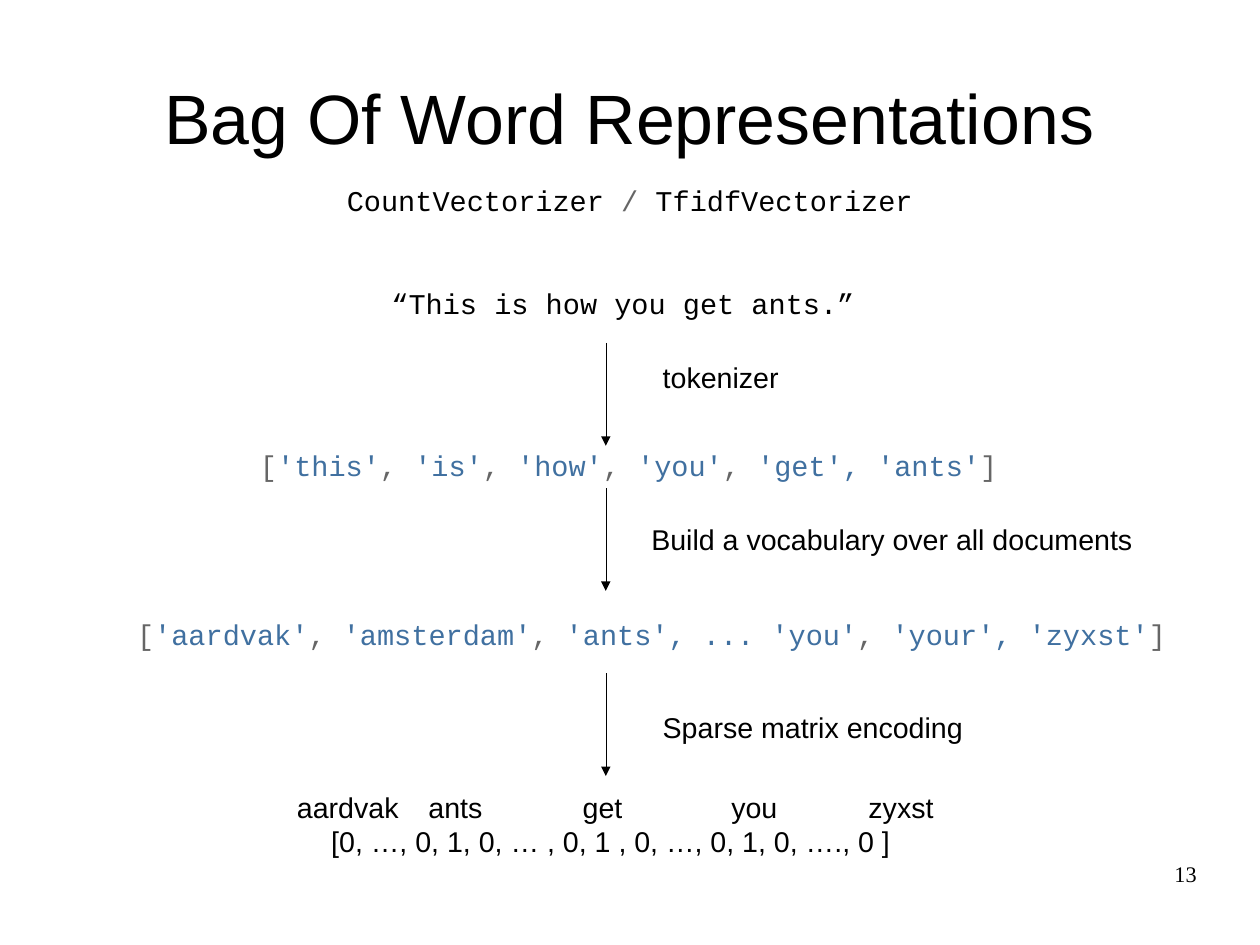
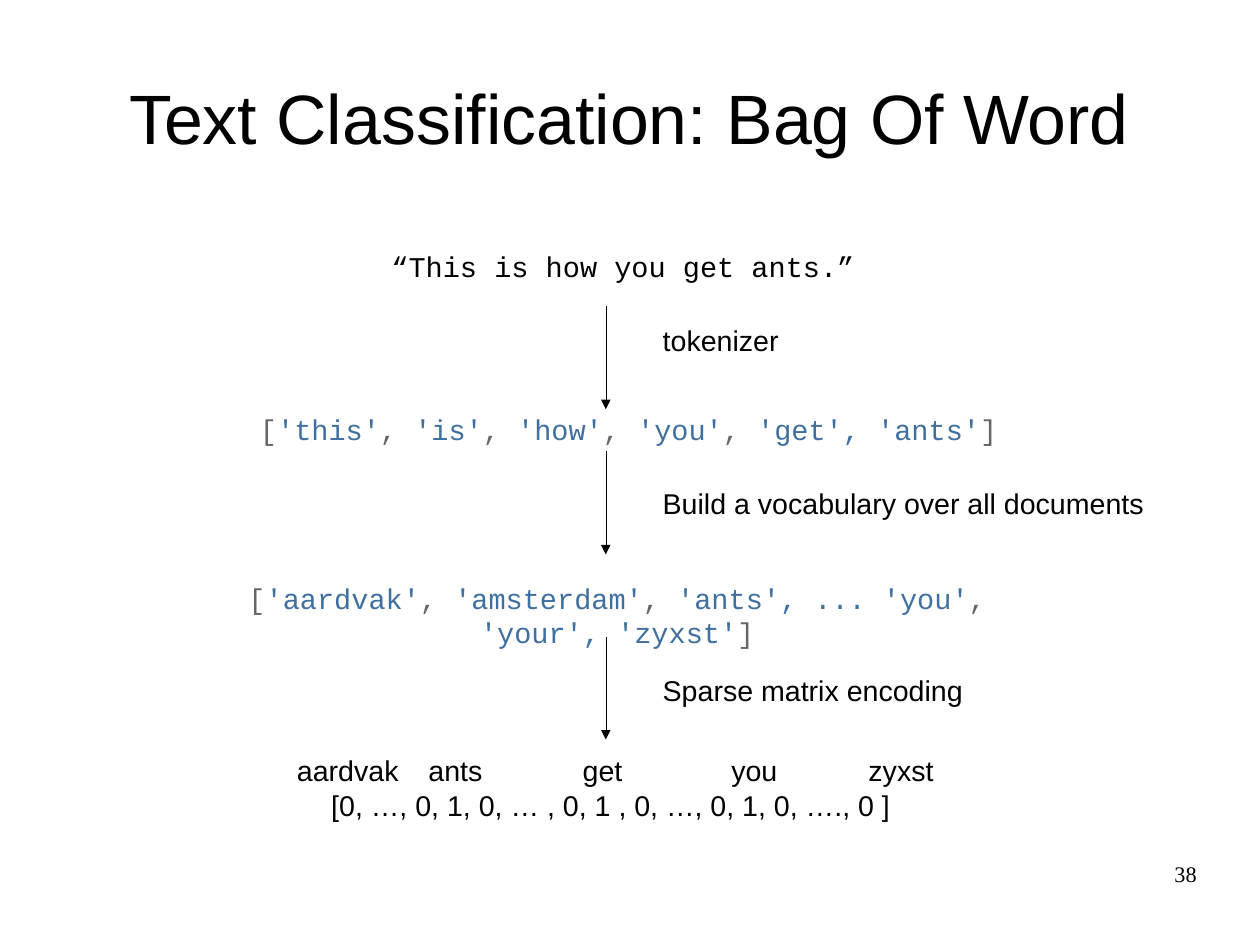
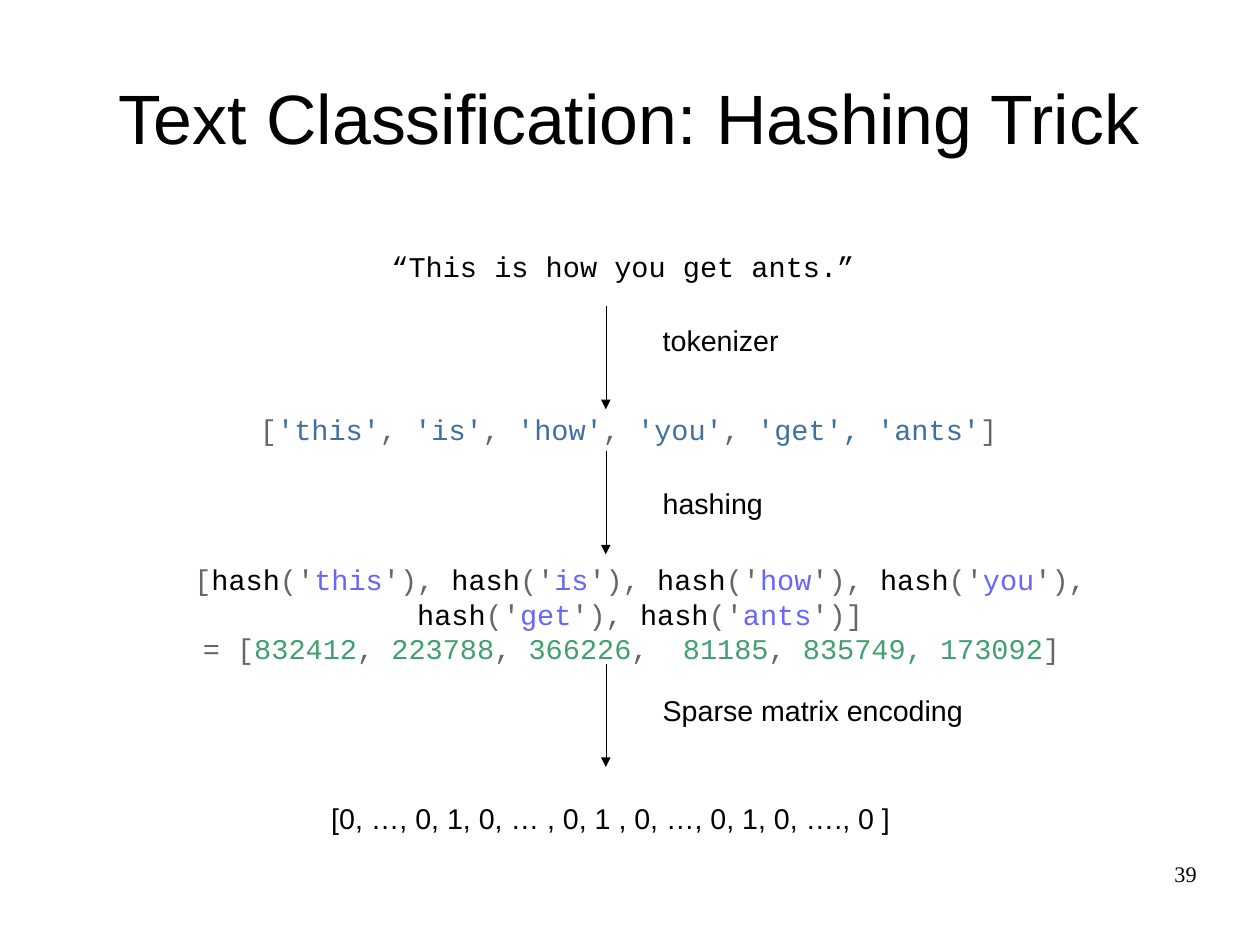
from lxml.etree import SubElement
from pptx import Presentation
from pptx.dml.color import RGBColor
from pptx.enum.shapes import MSO_CONNECTOR
from pptx.enum.text import MSO_ANCHOR, PP_ALIGN
from pptx.oxml.ns import qn
from pptx.util import Cm, Inches, Pt

BLACK = RGBColor(0x00, 0x00, 0x00)
GRAY = RGBColor(0x66, 0x66, 0x66)
BLUE = RGBColor(0x40, 0x70, 0xA0)
VIOLET = RGBColor(0x66, 0x66, 0xFF)
GREEN = RGBColor(0x40, 0xA0, 0x70)

TOKENS = ["'this'", "'is'", "'how'", "'you'", "'get', 'ants'"]
VOCABULARY = ["'aardvak'", "'amsterdam'", "'ants', ... 'you'", "'your', 'zyxst'"]
HASHED_WORDS = ["this", "is", "how", "you", "get", "ants"]
VECTOR = "[0, …, 0, 1, 0, … , 0, 1 , 0, …, 0, 1, 0, …., 0 ]"
VECTOR_WORDS = [("ants", 3.65), ("get", 5), ("you", 6.3), ("aardvak", 2.5), ("zyxst", 7.5)]


def list_runs(items, color):
    """Coloured items between gray brackets and commas."""
    runs = [("[", GRAY)]
    for index, item in enumerate(items):
        if index:
            runs.append((", ", GRAY))
        runs.append((item, color))
    return runs + [("]", GRAY)]


def hash_runs(words):
    runs = [("[", GRAY)]
    for word in words:
        closing = "')]" if word == words[-1] else "'), "
        runs += [("hash", BLACK), ("('", GRAY), (word, VIOLET), (closing, GRAY)]
    return runs


def hash_value_runs():
    return [("= [", GRAY), ("832412", GREEN), (", ", GRAY), ("223788", GREEN),
            (", ", GRAY), ("366226", GREEN), (",  ", GRAY), ("81185", GREEN),
            (", ", GRAY), ("835749, 173092", GREEN), ("] ", GRAY)]


class Deck:
    SANS, MONO, SERIF = "Arial", "Courier New", "Times New Roman"
    ARROW_X, ARROW_LENGTH = 5.3, 0.9
    LABEL_X = 5.7

    def __init__(self):
        self.presentation = Presentation()
        self.presentation.slide_width = Cm(28)
        self.presentation.slide_height = Cm(21)
        self.slide = None

    def add_slide(self, title, number):
        self.slide = self.presentation.slides.add_slide(self.presentation.slide_layouts[6])
        self.text(0.55, 0.33, 9.92, 1.38, [[(title, BLACK)]], self.SANS, size=44,
                  align=PP_ALIGN.CENTER, anchor=MSO_ANCHOR.MIDDLE)
        self.text(7.9, 7.53, 2.57, 0.57, [[(str(number), BLACK)]], self.SERIF, size=14,
                  align=PP_ALIGN.RIGHT)

    def text(self, left, top, width, height, lines, font, size=18, align=PP_ALIGN.LEFT,
             anchor=MSO_ANCHOR.TOP, inset=(0, 0)):
        """Each line is a list of (text, colour) runs."""
        shape = self.slide.shapes.add_textbox(
            Inches(left), Inches(top), Inches(width), Inches(height))
        frame = shape.text_frame
        frame.word_wrap = True
        frame.vertical_anchor = anchor
        frame.margin_left = frame.margin_right = Inches(inset[0])
        frame.margin_top = frame.margin_bottom = Inches(inset[1])
        for index, runs in enumerate(lines):
            paragraph = frame.add_paragraph() if index else frame.paragraphs[0]
            paragraph.alignment = align
            paragraph.font.name = font
            paragraph.font.size = Pt(size)
            for words, color in runs:
                run = paragraph.add_run()
                run.text = words
                run.font.color.rgb = color

    def code(self, left, top, width, *lines):
        self.text(left, top, width, 0.29 * len(lines), lines, self.MONO,
                  align=PP_ALIGN.CENTER)

    def label(self, left, top, width, words):
        self.text(left, top, width, 0.38, [[(words, BLACK)]], self.SANS, inset=(0.1, 0.05))

    def arrow(self, top):
        """A hairline arrow pointing down, free of the theme's line style."""
        x = Inches(self.ARROW_X)
        connector = self.slide.shapes.add_connector(
            MSO_CONNECTOR.STRAIGHT, x, Inches(top), x, Inches(top + self.ARROW_LENGTH))
        connector.line.color.rgb = BLACK
        element = connector._element
        element.remove(element.find(qn("p:style")))
        outline = element.spPr.find(qn("a:ln"))
        outline.set("w", "0")
        SubElement(outline, qn("a:tailEnd"), type="triangle")
        SubElement(element.spPr, qn("a:effectLst"))

    def tokenizing(self, top):
        """The sentence, its tokens and the arrow to the next step."""
        self.code(3.1, top, 4.7, [("“This is how you get ants.”", BLACK)])
        self.arrow(top + 0.5)
        self.label(self.LABEL_X, top + 0.6, 1.7, "tokenizer")
        self.code(2.1, top + 1.42, 6.8, list_runs(TOKENS, BLUE))
        self.arrow(top + 1.77)

    def encoding(self, arrow_top, label_top, vector_top):
        self.arrow(arrow_top)
        self.label(self.LABEL_X, label_top, 3.1, "Sparse matrix encoding")
        self.label(2.8, vector_top, 5.4, VECTOR)

    def bag_of_words(self, top, step_left, list_left, list_width):
        self.tokenizing(top)
        self.label(step_left, top + 2.02, 4.7, "Build a vocabulary over all documents")
        self.code(list_left, top + 2.9, list_width, list_runs(VOCABULARY, BLUE))
        self.encoding(top + 3.39, top + 3.66, top + 4.66)
        for word, left in VECTOR_WORDS:
            self.label(left, top + 4.36, 1.3, word)

    def hashing(self, top):
        self.tokenizing(top)
        self.label(self.LABEL_X, top + 2.02, 4.7, "hashing")
        self.code(1, top + 2.74, 9.2, hash_runs(HASHED_WORDS), hash_value_runs())
        self.encoding(top + 3.63, top + 3.83, top + 4.78)


def main():
    deck = Deck()

    deck.add_slide("Bag Of Word Representations", 13)
    deck.code(2.91, 1.6, 5.2, [("CountVectorizer ", BLACK), ("/", GRAY),
                               (" TfidfVectorizer", BLACK)])
    deck.bag_of_words(2.5, step_left=5.6, list_left=1.1, list_width=9.2)

    deck.add_slide("Text Classification: Bag Of Word", 38)
    deck.bag_of_words(2.18, step_left=deck.LABEL_X, list_left=2, list_width=6.8)

    deck.add_slide("Text Classification: Hashing Trick", 39)
    deck.hashing(2.18)

    deck.presentation.save("out.pptx")


if __name__ == "__main__":
    main()
